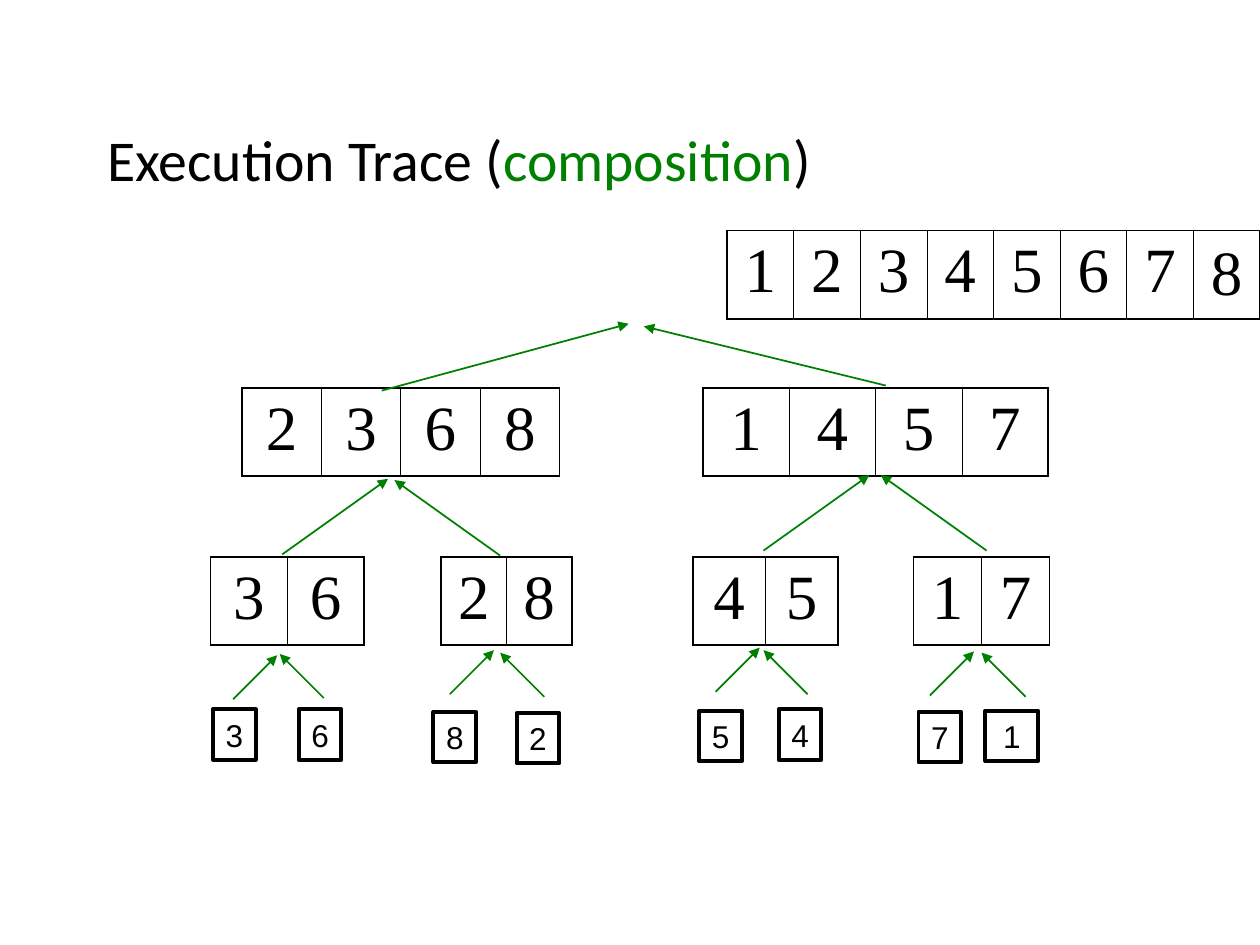
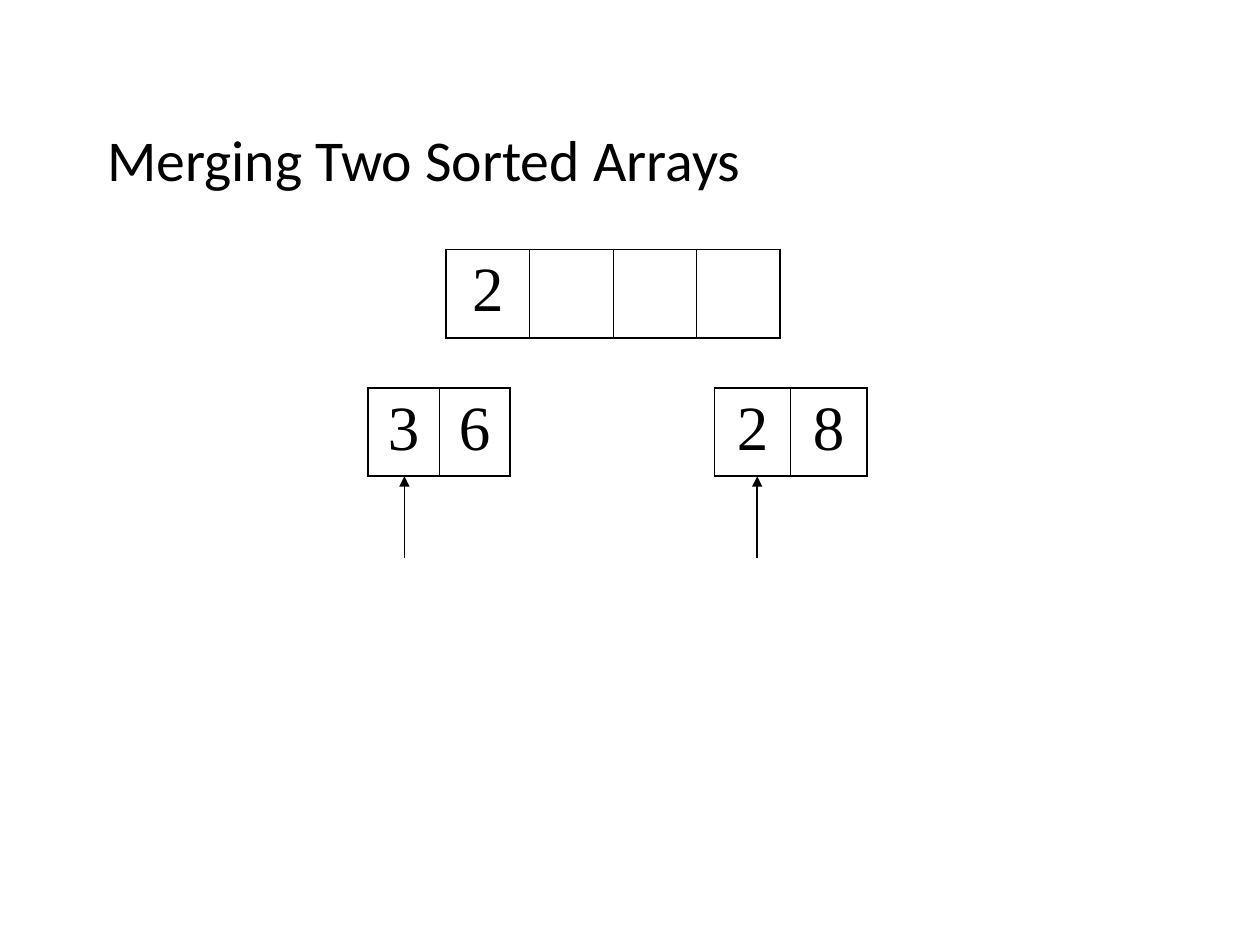
from dataclasses import dataclass

from lxml.etree import SubElement
from pptx import Presentation
from pptx.dml.color import RGBColor
from pptx.enum.shapes import MSO_CONNECTOR, MSO_SHAPE
from pptx.enum.text import MSO_ANCHOR, MSO_AUTO_SIZE, PP_ALIGN
from pptx.oxml.ns import qn
from pptx.util import Inches, Pt

COLORS = {"ink": "000000", "accent": "008000"}
FONTS = {"title": "Calibri", "array": "Times New Roman", "leaf": "Arial"}
ROW_HEIGHT = 0.7
OUTER_LINE, INNER_LINE = 1.08, 0.45
TITLE_ONLY = 5


@dataclass
class Array:
    x: float
    y: float
    width: float
    values: str
    last_anchor: MSO_ANCHOR = MSO_ANCHOR.TOP


@dataclass
class Leaf:
    x: float
    y: float
    value: str
    width: float = 0.34


@dataclass
class Arrow:
    x1: float
    y1: float
    x2: float
    y2: float
    color: str = "accent"


@dataclass
class Merge:
    left_x: float
    left_y: float
    right_x: float
    right_y: float
    run: float
    rise: float

    def arrows(self) -> list[Arrow]:
        return [
            Arrow(self.left_x, self.left_y, self.left_x + self.run, self.left_y - self.rise),
            Arrow(self.right_x, self.right_y, self.right_x - self.run, self.right_y - self.rise),
        ]


TRACE_ARRAYS = [
    Array(5.77, 1.83, 4.23, "12345678", MSO_ANCHOR.MIDDLE),
    Array(1.92, 3.08, 2.52, "2368"),
    Array(5.58, 3.08, 2.74, "1457"),
    Array(1.67, 4.42, 1.22, "36"),
    Array(3.5, 4.42, 1.04, "28"),
    Array(5.5, 4.42, 1.15, "45"),
    Array(7.25, 4.42, 1.08, "17"),
]
LEAVES = [
    Leaf(1.69, 5.63, "3"),
    Leaf(2.37, 5.63, "6"),
    Leaf(3.44, 5.65, "8"),
    Leaf(4.1, 5.66, "2"),
    Leaf(5.55, 5.64, "5"),
    Leaf(6.18, 5.63, "4"),
    Leaf(7.29, 5.65, "7"),
    Leaf(7.82, 5.64, "1", 0.42),
]
TOP_ARROWS = [Arrow(3.03, 3.1, 4.99, 2.57), Arrow(7.03, 3.06, 5.11, 2.59)]
MERGES = [
    Merge(2.24, 4.4, 3.97, 4.41, 0.84, 0.6),
    Merge(6.06, 4.37, 7.83, 4.37, 0.84, 0.6),
    Merge(1.85, 5.55, 2.57, 5.54, 0.35, 0.35),
    Merge(3.57, 5.51, 4.32, 5.53, 0.35, 0.35),
    Merge(5.68, 5.49, 6.41, 5.51, 0.35, 0.35),
    Merge(7.38, 5.52, 8.14, 5.53, 0.35, 0.35),
]
MERGING_ARRAYS = [
    Array(3.54, 1.98, 2.65, "2   "),
    Array(2.92, 3.08, 1.13, "36"),
    Array(5.67, 3.08, 1.21, "28"),
]
POINTERS = [Arrow(x, 4.43, x, 3.78, "ink") for x in (3.21, 6.01)]


def rgb(name: str) -> RGBColor:
    return RGBColor.from_string(COLORS[name])


def format_run(r, font: str, size: float, color: str = "ink") -> None:
    r.font.name = FONTS[font]
    r.font.size = Pt(size)
    r.font.color.rgb = rgb(color)


def add_title_slide(prs, parts: list[tuple[str, str]]):
    s = prs.slides.add_slide(prs.slide_layouts[TITLE_ONLY])
    title = s.shapes.title
    title.left, title.top = Inches(0.75), Inches(0.67)
    title.width, title.height = Inches(8.5), Inches(1.25)
    tf = title.text_frame
    tf.auto_size = MSO_AUTO_SIZE.NONE
    tf.vertical_anchor = MSO_ANCHOR.MIDDLE
    p = tf.paragraphs[0]
    p.alignment = PP_ALIGN.LEFT
    p.line_spacing = 0.9
    for text, color in parts:
        r = p.add_run()
        r.text = text
        format_run(r, "title", 33, color)
    return s


def set_borders(cell, is_first: bool, is_last: bool) -> None:
    widths = {
        "a:lnL": OUTER_LINE if is_first else INNER_LINE,
        "a:lnR": OUTER_LINE if is_last else INNER_LINE,
        "a:lnT": OUTER_LINE,
        "a:lnB": OUTER_LINE,
    }
    tc_pr = cell._tc.get_or_add_tcPr()
    for tag, width in widths.items():
        ln = SubElement(tc_pr, qn(tag), w=str(Pt(width)))
        fill = SubElement(ln, qn("a:solidFill"))
        SubElement(fill, qn("a:srgbClr"), val=COLORS["ink"])


def add_array(s, array: Array) -> None:
    count = len(array.values)
    table = s.shapes.add_table(
        1, count, Inches(array.x), Inches(array.y), Inches(array.width), Inches(ROW_HEIGHT)
    ).table
    table.first_row = table.horz_banding = False
    for i, value in enumerate(array.values):
        table.columns[i].width = Inches(array.width / count)
        cell = table.cell(0, i)
        is_last = i == count - 1
        set_borders(cell, i == 0, is_last)
        cell.fill.background()
        cell.vertical_anchor = array.last_anchor if is_last else MSO_ANCHOR.TOP
        if value.strip():
            p = cell.text_frame.paragraphs[0]
            p.text = value
            p.alignment = PP_ALIGN.CENTER
            p.space_before = Pt(9)
            format_run(p.runs[0], "array", 36)


def add_leaf(s, leaf: Leaf) -> None:
    sp = s.shapes.add_shape(
        MSO_SHAPE.RECTANGLE, Inches(leaf.x), Inches(leaf.y), Inches(leaf.width), Inches(0.4)
    )
    sp.shadow.inherit = False
    sp.fill.background()
    sp.line.color.rgb = rgb("ink")
    sp.line.width = Pt(2.25)
    tf = sp.text_frame
    tf.word_wrap = False
    tf.vertical_anchor = MSO_ANCHOR.TOP
    p = tf.paragraphs[0]
    p.text = leaf.value
    p.alignment = PP_ALIGN.CENTER
    format_run(p.runs[0], "leaf", 18)


def add_arrow(s, arrow: Arrow) -> None:
    ends = (Inches(v) for v in (arrow.x1, arrow.y1, arrow.x2, arrow.y2))
    line = s.shapes.add_connector(MSO_CONNECTOR.STRAIGHT, *ends)
    line.line.color.rgb = rgb(arrow.color)
    line.line.width = Pt(1)
    SubElement(line.line._get_or_add_ln(), qn("a:tailEnd"), type="triangle")
    SubElement(line._element.spPr, qn("a:effectLst"))


def build_trace(prs) -> None:
    s = add_title_slide(
        prs, [("Execution Trace (", "ink"), ("composition", "accent"), (")", "ink")]
    )
    for array in TRACE_ARRAYS:
        add_array(s, array)
    for leaf in LEAVES:
        add_leaf(s, leaf)
    for arrow in TOP_ARROWS:
        add_arrow(s, arrow)
    for merge in MERGES:
        for arrow in merge.arrows():
            add_arrow(s, arrow)


def build_merging(prs) -> None:
    s = add_title_slide(prs, [("Merging Two Sorted Arrays", "ink")])
    for array in MERGING_ARRAYS:
        add_array(s, array)
    for arrow in POINTERS:
        add_arrow(s, arrow)


def main() -> None:
    prs = Presentation()
    prs.slide_width, prs.slide_height = Inches(10), Inches(7.5)
    build_trace(prs)
    build_merging(prs)
    prs.save("out.pptx")


if __name__ == "__main__":
    main()
